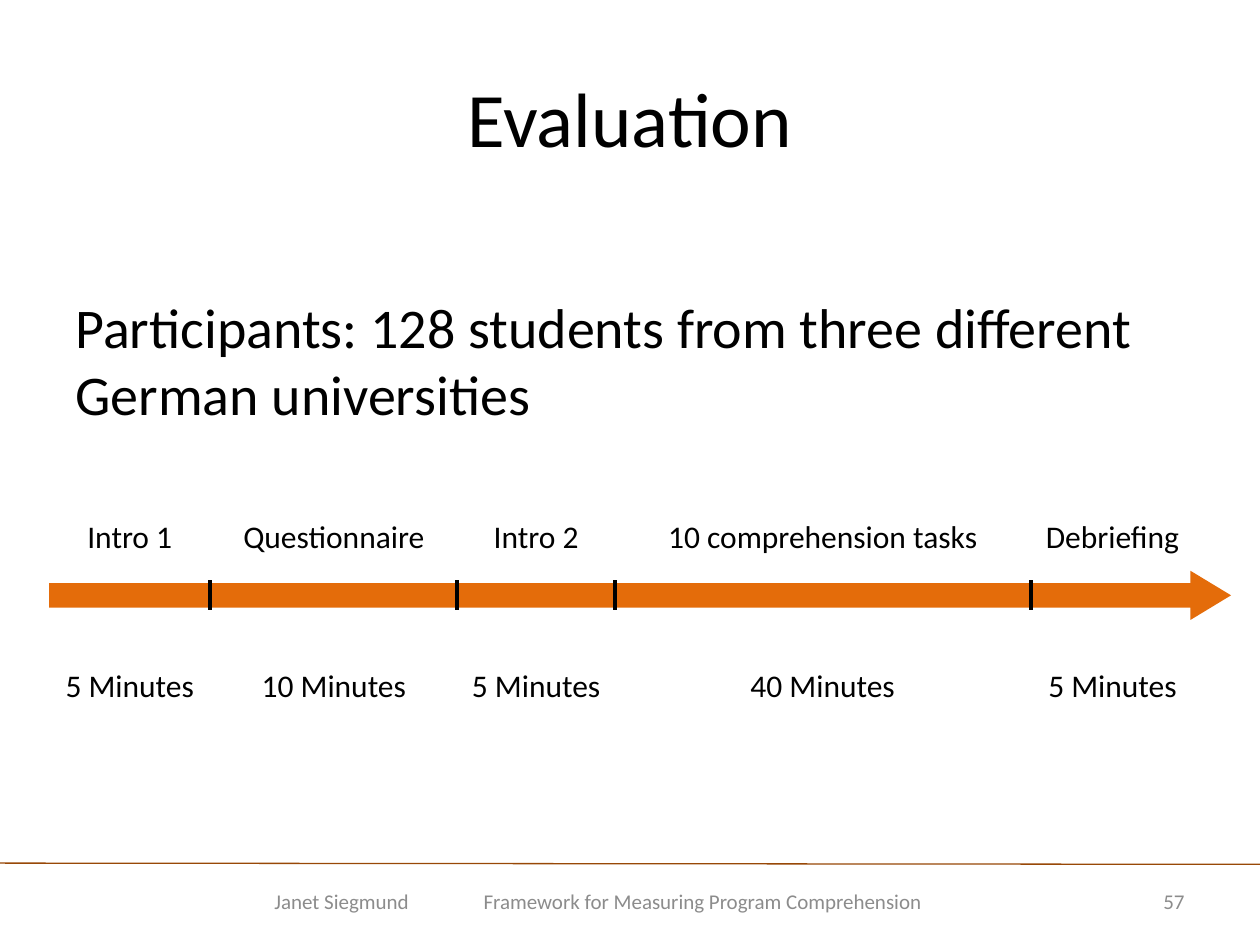
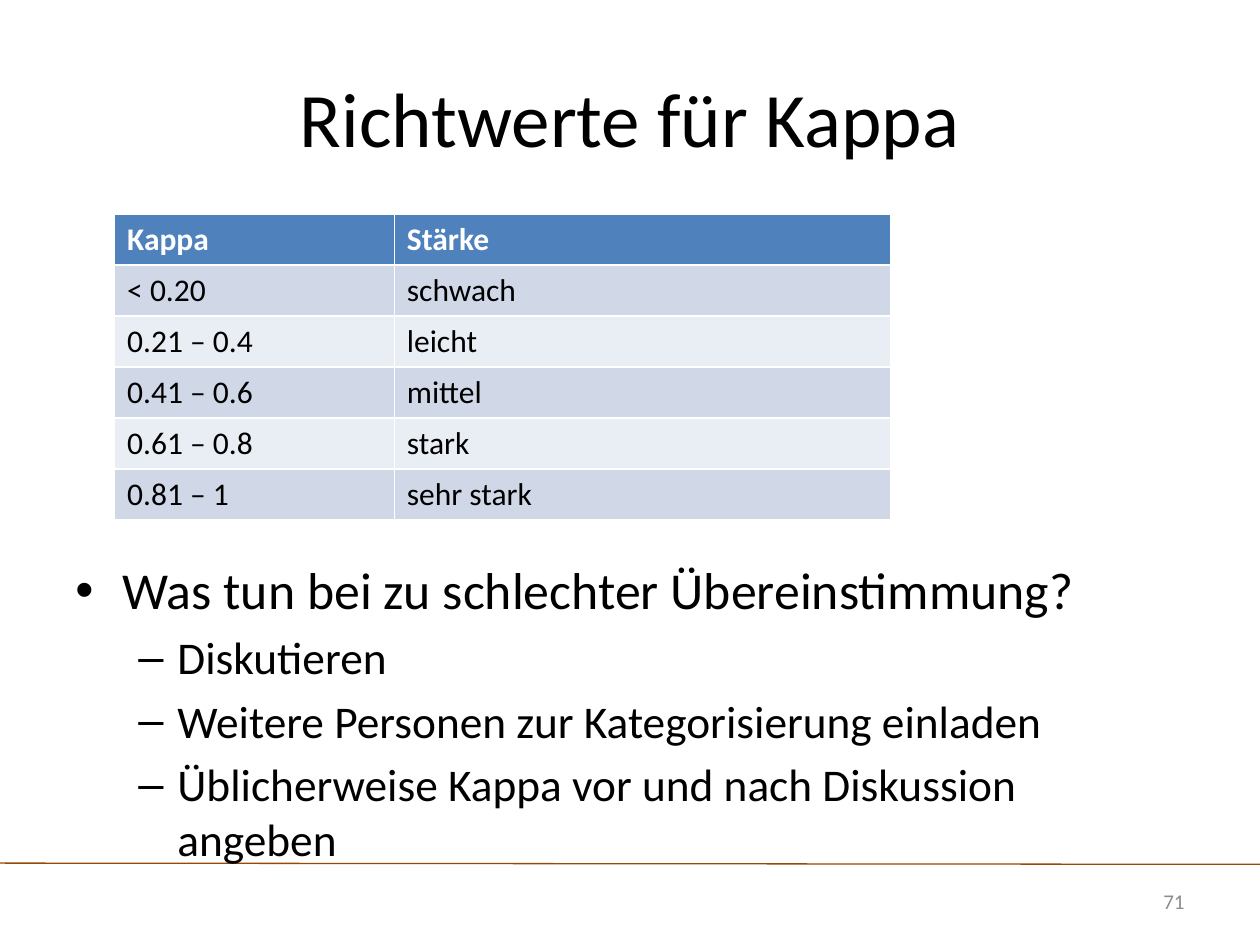
import pptx
import pptx.util
import pptx.dml.color
import pptx.enum.shapes
import pptx.enum.text
import pptx.oxml.ns
import lxml.etree

COLORS = {
    "text": "000000", "rule": "984807", "footer": "8C8C8C", "arrow": "E46C0A",
    "header": "4F81BD", "header_text": "FFFFFF", "band_dark": "D0D8E8", "band_light": "E9EDF4",
}
FONT = "Calibri"
WIDTH, HEIGHT = pptx.util.Inches(10), pptx.util.Inches(7.5)
# The slide is a grid of 100 columns and 75 rows
COL, ROW = WIDTH / 100, HEIGHT / 75
ALIGN = pptx.enum.text.PP_ALIGN
ANCHOR = pptx.enum.text.MSO_ANCHOR
qn = pptx.oxml.ns.qn


def place(x, y, w, h):
    """Turn grid columns and rows into slide lengths."""
    return int(x * COL), int(y * ROW), int(w * COL), int(h * ROW)


def rgb(name):
    return pptx.dml.color.RGBColor.from_string(COLORS[name])


def write(p, text, size=18, color="text", bold=False, align=ALIGN.LEFT):
    p.alignment = align
    r = p.add_run()
    r.text = text
    r.font.name = FONT
    r.font.size = pptx.util.Pt(size)
    r.font.bold = bold
    r.font.color.rgb = rgb(color)


def add_text(slide, box, text="", anchor=ANCHOR.MIDDLE, **fmt):
    sp = slide.shapes.add_textbox(*place(*box))
    tf = sp.text_frame
    tf.word_wrap = True
    tf.vertical_anchor = anchor
    if text:
        write(tf.paragraphs[0], text, **fmt)
    return tf


def add_line(slide, x1, y1, x2, y2, color, width):
    line = slide.shapes.add_connector(
        pptx.enum.shapes.MSO_CONNECTOR.STRAIGHT,
        int(x1 * COL), int(y1 * ROW), int(x2 * COL), int(y2 * ROW))
    line.line.color.rgb = rgb(color)
    line.line.width = pptx.util.Pt(width)
    lxml.etree.SubElement(line._element.spPr, qn("a:effectLst"))


def add_bullet(p, char, left, hanging):
    pPr = p._p.get_or_add_pPr()
    pPr.set("marL", str(int(left * COL)))
    pPr.set("indent", str(int(-hanging * COL)))
    lxml.etree.SubElement(pPr, qn("a:buFont"), typeface="Arial")
    lxml.etree.SubElement(pPr, qn("a:buChar"), char=char)


def add_tab(p, position):
    tabs = lxml.etree.SubElement(p._p.get_or_add_pPr(), qn("a:tabLst"))
    lxml.etree.SubElement(tabs, qn("a:tab"), pos=str(int(position * COL)), algn="l")


def new_slide(prs, title, number):
    """Slide with the shared rule, title and page number."""
    slide = prs.slides.add_slide(prs.slide_layouts[5])
    add_line(slide, 0, 68.5, 100, 68.6, "rule", 0.75)
    sp = slide.shapes.title
    sp.left, sp.top, sp.width, sp.height = place(5, 3, 90, 12.5)
    sp.text_frame.vertical_anchor = ANCHOR.MIDDLE
    write(sp.text_frame.paragraphs[0], title, size=44, align=ALIGN.CENTER)
    add_text(slide, (85.9, 69.5, 9.1, 4), number, size=12, color="footer", align=ALIGN.RIGHT)
    return slide


def add_footer(slide, box, author, talk):
    p = add_text(slide, box).paragraphs[0]
    add_tab(p, 16.6)
    write(p, f"{author}\t{talk}", size=12, color="footer")


def add_timeline(slide, box, phases):
    """Arrow cut into phases, with names above and durations below."""
    x, y, w, h = box
    label_h, arrow_h, tick_h = 5.5, 3.9, 2.4
    arrow_y = y + label_h
    arrow = slide.shapes.add_shape(pptx.enum.shapes.MSO_SHAPE.RIGHT_ARROW,
                                   *place(x, arrow_y, w, arrow_h))
    arrow.adjustments[0], arrow.adjustments[1] = 0.5, 0.825
    arrow.shadow.inherit = False
    arrow.fill.solid()
    arrow.fill.fore_color.rgb = rgb("arrow")
    arrow.line.fill.background()

    start = x
    for i, (name, minutes, width) in enumerate(phases):
        for text, top in ((name, y), (f"{minutes} Minutes", y + h - label_h)):
            add_text(slide, (start, top, width, label_h), text, align=ALIGN.CENTER)
        if i:
            tick_y = arrow_y + (arrow_h - tick_h) / 2
            add_line(slide, start, tick_y, start, tick_y + tick_h, "text", 2.25)
        start += width


def add_kappa_table(slide, box, rows, widths):
    frame = slide.shapes.add_table(len(rows), len(widths), *place(*box))
    table = frame.table
    for column, width in zip(table.columns, widths):
        column.width = int(width * COL)
    for i, row in enumerate(rows):
        head = i == 0
        fill = "header" if head else ("band_dark" if i % 2 else "band_light")
        for j, text in enumerate(row):
            cell = table.cell(i, j)
            cell.fill.solid()
            cell.fill.fore_color.rgb = rgb(fill)
            write(cell.text_frame.paragraphs[0], text, bold=head,
                  color="header_text" if head else "text")


def add_question(slide, box, question, answers):
    """Question as a bullet, answers as dashes one level below."""
    tf = add_text(slide, box, anchor=ANCHOR.TOP)
    p = tf.paragraphs[0]
    add_bullet(p, "•", 3.75, 3.75)
    write(p, question, size=29.6)
    for answer in answers:
        p = tf.add_paragraph()
        p.level = 1
        p.space_before = pptx.util.Pt(5.2)
        add_bullet(p, "–", 8.1, 3.1)
        write(p, answer, size=25.9)


def evaluation_slide(prs):
    slide = new_slide(prs, "Evaluation", "57")
    add_footer(slide, (20.8, 69.5, 56, 4), "Janet Siegmund",
               "Framework for Measuring Program Comprehension")
    add_text(slide, (5, 22.7, 90, 12),
             "Participants: 128 students from three different German universities",
             anchor=ANCHOR.TOP, size=32)
    # Name, minutes, width in columns
    phases = [("Intro 1", 5, 12.8), ("Questionnaire", 10, 19.6), ("Intro 2", 5, 12.5),
              ("10 comprehension tasks", 40, 33), ("Debriefing", 5, 13)]
    add_timeline(slide, (3.9, 39.8, 93.8, 17.3), phases)


def kappa_slide(prs):
    slide = new_slide(prs, "Richtwerte für Kappa", "71")
    rows = [("Kappa", "Stärke"), ("< 0.20", "schwach"), ("0.21 – 0.4", "leicht"),
            ("0.41 – 0.6", "mittel"), ("0.61 – 0.8", "stark"), ("0.81 – 1", "sehr stark")]
    add_kappa_table(slide, (9.1, 17, 61.6, 24.3), rows, (22.2, 39.4))
    add_question(slide, (5, 43.8, 90, 23.2), "Was tun bei zu schlechter Übereinstimmung?",
                 ["Diskutieren", "Weitere Personen zur Kategorisierung einladen",
                  "Üblicherweise Kappa vor und nach Diskussion angeben"])


def main():
    prs = pptx.Presentation()
    prs.slide_width, prs.slide_height = WIDTH, HEIGHT
    evaluation_slide(prs)
    kappa_slide(prs)
    prs.save("out.pptx")


if __name__ == "__main__":
    main()
